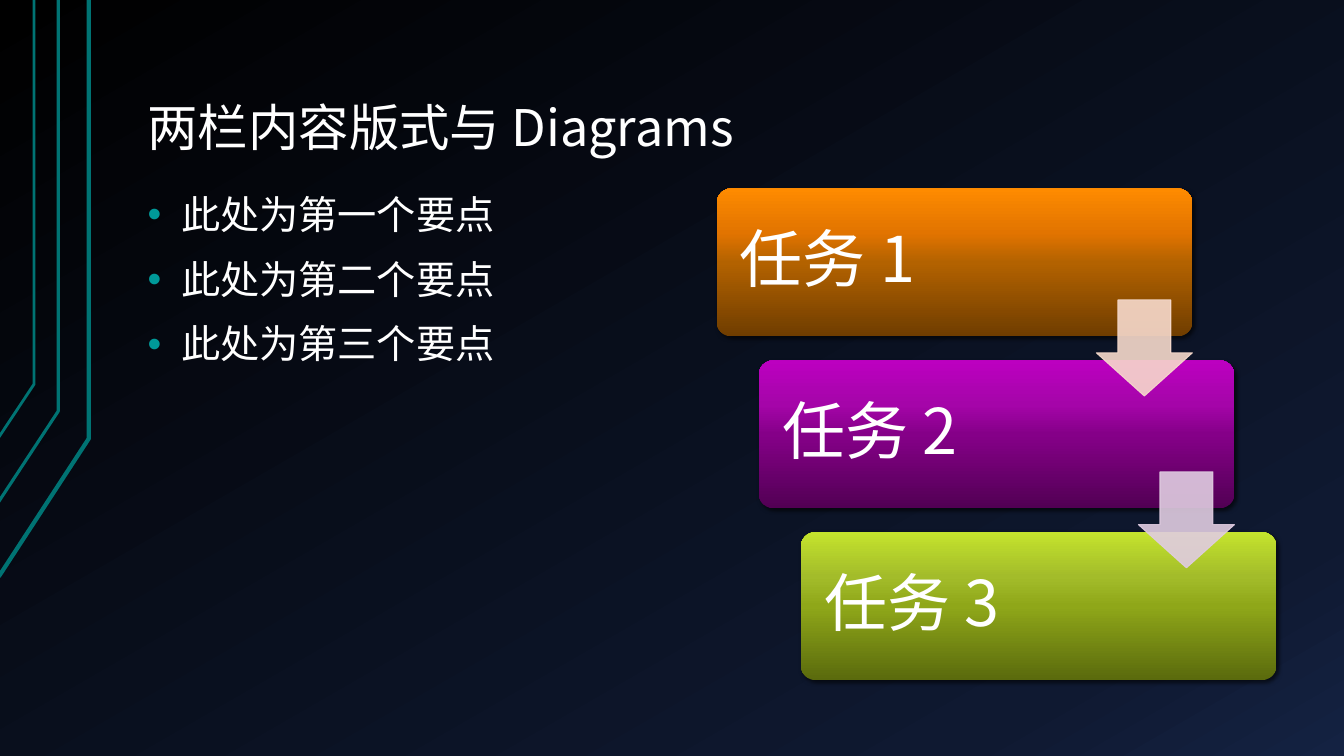
"""Build a two-column slide with bullet points and a staircase of three tasks."""
from lxml.etree import SubElement
from pptx import Presentation
from pptx.dml.color import RGBColor
from pptx.enum.shapes import MSO_SHAPE as Preset
from pptx.enum.text import MSO_ANCHOR as Anchor, PP_ALIGN as Align
from pptx.oxml.ns import qn
from pptx.util import Cm, Pt

FONT = "Noto Sans CJK SC"
WHITE, TEAL, BULLET = "FFFFFF", "007373", "009999"
TITLE = "两栏内容版式与 Diagrams"
POINTS = ["此处为第一个要点", "此处为第二个要点", "此处为第三个要点"]
BACKGROUND = [(0, "000000"), (85, "0F1931"), (100, "142242")]
STOPS = (0, 50, 70, 100)
TASKS = [
    ("任务 1", ("6F3D00", "B36200", "E27400", "FE8B00")),
    ("任务 2", ("520054", "850088", "A505A9", "BC00C0")),
    ("任务 3", ("5A6A0D", "8FA719", "A3BC2A", "C4E32D")),
]
ARROWS = ["F7DACC", "E0CCE1"]
CIRCUITS = [
    (3, [(-0.03, 14.53), (2.24, 11.05), (2.24, 0)]),
    (2.25, [(-0.05, 12.67), (1.47, 10.36), (1.47, 0)]),
    (2, [(-0.03, 11.02), (0.86, 9.68), (0.86, 0)]),
]
CARD_LEFT, CARD_TOP, CARD_WIDTH, CARD_HEIGHT = 18.06, 4.75, 11.99, 3.73
ARROW_LEFT, ARROW_TOP, ARROW_SIZE = 27.63, 7.56, 2.42
STEP_X, STEP_Y = 1.06, 4.33


def color(value):
    return RGBColor.from_string(value)


def add_xml(parent, tag, **attributes):
    return SubElement(parent, qn(tag), {key: str(value) for key, value in attributes.items()})


def set_gradient(fill, element, stops, angle):
    fill.gradient()
    gradient = next(element.iter(qn("a:gradFill")))
    for child in list(gradient):
        gradient.remove(child)
    stop_list = add_xml(gradient, "a:gsLst")
    for position, value in stops:
        stop = add_xml(stop_list, "a:gs", pos=position * 1000)
        add_xml(stop, "a:srgbClr", val=value)
    add_xml(gradient, "a:lin", ang=angle * 60000, scaled=0)


def set_text(shape, lines, size, anchor, inset_x, inset_y):
    frame = shape.text_frame
    frame.word_wrap = True
    frame.vertical_anchor = anchor
    frame.margin_left = frame.margin_right = Cm(inset_x)
    frame.margin_top = frame.margin_bottom = Cm(inset_y)
    frame.text = "\n".join(lines)
    for paragraph in frame.paragraphs:
        paragraph.alignment = Align.LEFT
        paragraph.line_spacing = 0.9
        font = paragraph.font
        font.size = Pt(size)
        font.color.rgb = color(WHITE)
        font.name = FONT
        add_xml(font._element, "a:ea", typeface=FONT)
    return frame.paragraphs


def add_bullet(paragraph):
    paragraph.space_before = Pt(16)
    properties = paragraph._p.get_or_add_pPr()
    properties.set("marL", str(Cm(0.85)))
    properties.set("indent", str(-Cm(0.85)))
    defaults = properties.find(qn("a:defRPr"))
    bullet_color = add_xml(properties, "a:buClr")
    add_xml(bullet_color, "a:srgbClr", val=BULLET)
    add_xml(properties, "a:buFont", typeface="Arial")
    add_xml(properties, "a:buChar", char="•")
    properties.append(defaults)


def add_circuit(slide, width, points):
    start, *rest = [(Cm(x), Cm(y)) for x, y in points]
    builder = slide.shapes.build_freeform(*start)
    builder.add_line_segments(rest, close=False)
    shape = builder.convert_to_shape()
    shape.shadow.inherit = False
    shape.fill.background()
    shape.line.color.rgb = color(TEAL)
    shape.line.width = Pt(width)


def add_card(slide, index, text, colors):
    left, top = CARD_LEFT + index * STEP_X, CARD_TOP + index * STEP_Y
    card = slide.shapes.add_shape(
        Preset.ROUNDED_RECTANGLE, Cm(left), Cm(top), Cm(CARD_WIDTH), Cm(CARD_HEIGHT))
    card.adjustments[0] = 0.1
    set_gradient(card.fill, card._element, zip(STOPS, colors), 270)
    card.line.fill.background()
    card.shadow.inherit = False
    effects = next(card._element.iter(qn("a:effectLst")))
    shadow = add_xml(effects, "a:outerShdw", blurRad=Pt(3), dist=Pt(2), dir=45 * 60000)
    add_xml(add_xml(shadow, "a:srgbClr", val="000000"), "a:alpha", val=60000)
    set_text(card, [text], 45, Anchor.MIDDLE, 0.48, 0.48)


def add_arrow(slide, index, value):
    left, top = ARROW_LEFT + index * STEP_X, ARROW_TOP + index * STEP_Y
    arrow = slide.shapes.add_shape(
        Preset.DOWN_ARROW, Cm(left), Cm(top), Cm(ARROW_SIZE), Cm(ARROW_SIZE))
    arrow.adjustments[0], arrow.adjustments[1] = 0.55, 0.45
    arrow.shadow.inherit = False
    arrow.fill.solid()
    arrow.fill.fore_color.rgb = color(value)
    arrow.line.color.rgb = color(value)
    arrow.line.width = Pt(0.75)
    for paint in arrow._element.spPr.iter(qn("a:srgbClr")):
        add_xml(paint, "a:alpha", val=90000)


def main():
    presentation = Presentation()
    presentation.slide_width, presentation.slide_height = Cm(33.87), Cm(19.05)
    slide = presentation.slides.add_slide(presentation.slide_layouts[6])
    set_gradient(slide.background.fill, slide._element, BACKGROUND, 60)
    for width, points in CIRCUITS:
        add_circuit(slide, width, points)
    title = slide.shapes.add_textbox(Cm(3.39), Cm(0.76), Cm(28.78), Cm(3.4))
    set_text(title, [TITLE], 36, Anchor.BOTTOM, 0.33, 0.18)
    body = slide.shapes.add_textbox(Cm(3.39), Cm(4.75), Cm(14.1), Cm(12.4))
    for paragraph in set_text(body, POINTS, 28, Anchor.TOP, 0.33, 0.18):
        add_bullet(paragraph)
    for index, (text, colors) in enumerate(TASKS):
        add_card(slide, index, text, colors)
    for index, value in enumerate(ARROWS):
        add_arrow(slide, index, value)
    presentation.save("out.pptx")


if __name__ == "__main__":
    main()
